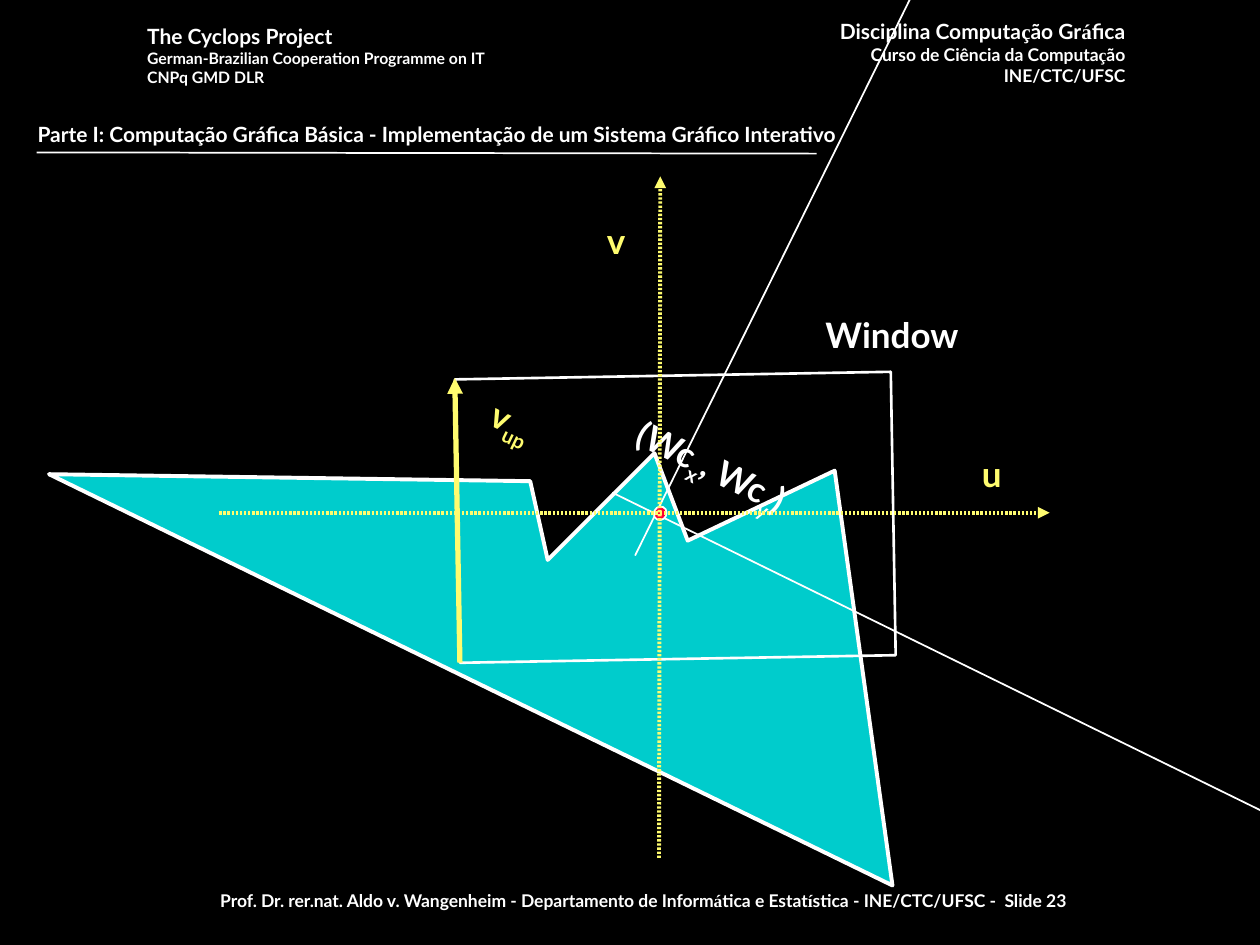
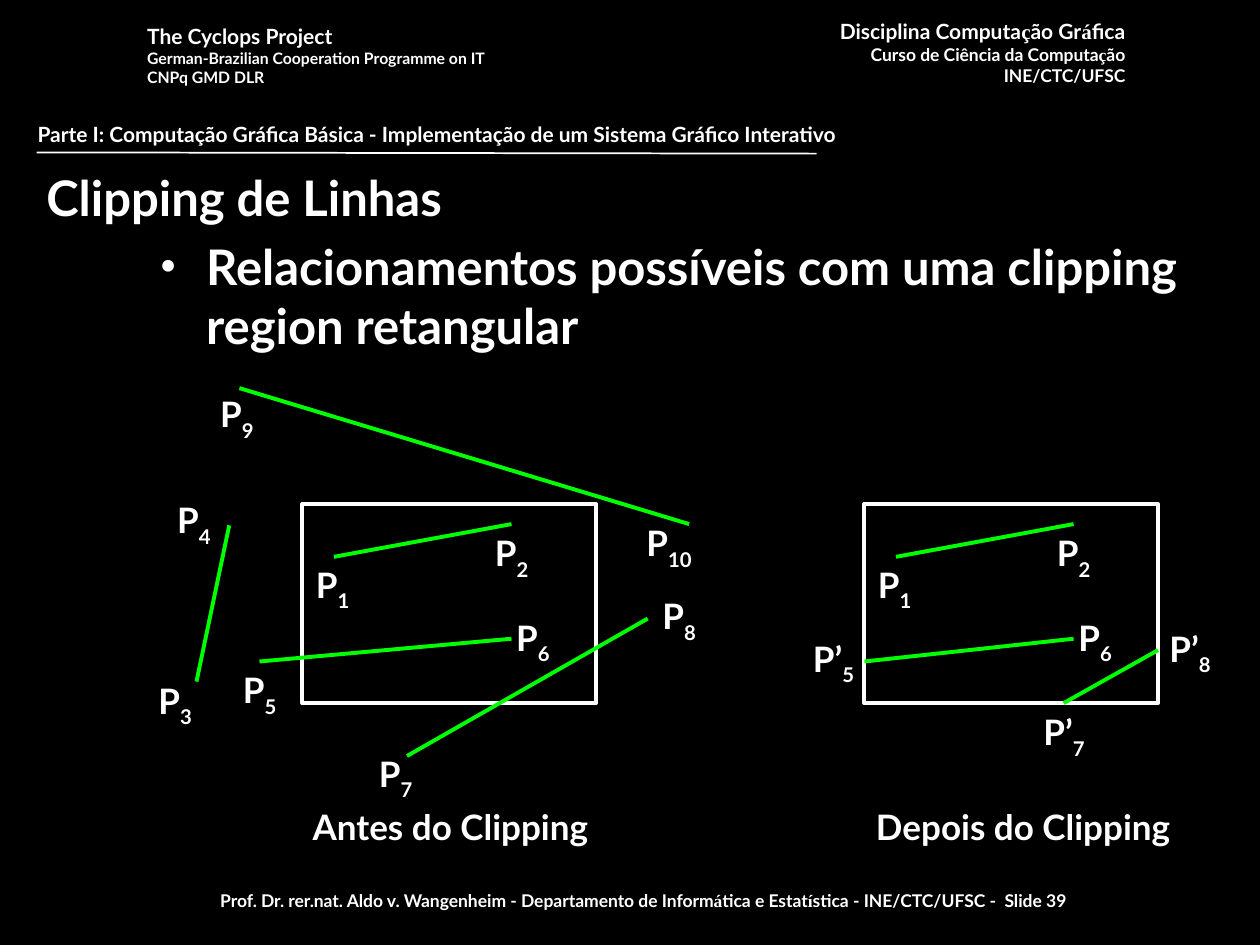
from lxml import etree
from pptx import Presentation
from pptx.dml.color import RGBColor
from pptx.enum import shapes, text
from pptx.oxml.ns import qn
from pptx.util import Pt

BLACK = RGBColor(0x00, 0x00, 0x00)
WHITE = RGBColor(0xFF, 0xFF, 0xFF)
YELLOW = RGBColor(0xFF, 0xFC, 0x6F)
CYAN = RGBColor(0x00, 0xCC, 0xCC)
RED = RGBColor(0xFF, 0x00, 0x33)
GREEN = RGBColor(0x00, 0xFF, 0x00)
LEFT, CENTER, RIGHT = text.PP_ALIGN.LEFT, text.PP_ALIGN.CENTER, text.PP_ALIGN.RIGHT
MAIN_FONT, ACCENT_FONT = "Lato", "Times New Roman"

# A paragraph is (size, runs); every second run takes the accent font or is a subscript.
COURSE = [
    (12, ["Disciplina Computa", "ç", "ão Gr", "á", "fica"]),
    (10, ["Curso de Ciência da Computa", "ç", "ão"]),
    (10, ["INE/CTC/UFSC"]),
]
PROJECT = [
    (12, ["The Cyclops Project"]),
    (9, ["German-Brazilian Cooperation Programme on IT"]),
    (9, ["CNPq GMD DLR"]),
]
PART = "Parte I: Computação Gráfica Básica - Implementação de um Sistema Gráfico Interativo"
FOOTER = ["Prof. Dr. rer.nat. Aldo v. Wangenheim - Departamento de Inform", "á",
          "tica e Estat", "í", "stica - INE/CTC/UFSC -  Slide {}"]

# Window slide
WORLD_OBJECT = [(509.8, 506.2), (28.1, 270.7), (303.1, 275), (313.2, 319.7),
                (374.4, 259.2), (393.1, 308.9), (476.6, 269.3)]
WINDOW = (261.4, 214.6, 249.1, 162)
WINDOW_CENTER = (373.7, 289.4, 7.2, 7.9)
WORLD_AXES = [((349.9, 281.5), (779, 491.8)), ((362.9, 317.5), (542.2, -45.4))]
VIEW_AXES = [((125.3, 293), (599.8, 293)), ((376.6, 490.3), (377.3, 100.8))]
VIEW_UP = ((262.8, 378.7), (259.9, 216))
# runs, box, colour, alignment, rotation, wrap, subscript offset
WINDOW_LABELS = [
    (["Window"], (462.2, 175.7, 95, 31.7), WHITE, CENTER, 0, False, 0),
    (["v", "up"], (270.7, 224.6, 42.5, 34.6), YELLOW, CENTER, 26, True, -25),
    (["(Wc", "x", ", Wc", "y", ")"], (346.3, 249.8, 109.4, 64.1), WHITE, LEFT, 26, True, -30),
    (["u"], (553, 254.9, 27.4, 31.7), YELLOW, CENTER, 0, False, 0),
    (["v"], (339.1, 121.7, 25.9, 31.7), YELLOW, CENTER, 0, False, 0),
]

# Clipping slide; both diagrams use the coordinates of the left one
CLIPPING_TITLE = "Clipping de Linhas"
CLIPPING_POINT = "Relacionamentos possíveis com uma clipping region retangular"
CLIP_REGION = (172.8, 288, 167.8, 113.8)
LABEL_MARGIN = 3  # spare room on each side, so that a subscript stays beside its letter
INNER_LINE = ((190.8, 318.2), (292.3, 299.5))
INNER_LABELS = [("P", "1", 173.5, 318.2), ("P", "2", 275.8, 300.2), ("P", "6", 288, 348.5)]
DIAGRAMS = [
    {
        "shift": 0,
        "caption": ("Antes do Clipping", 162.7, 189.4),
        "lines": [((136.8, 221.8), (393.8, 299.5)), ((131, 300.2), (112.3, 389.5)),
                  ((148.3, 378), (292.3, 365)), ((232.6, 432), (370.1, 353.5))],
        "labels": [("P", "3", 83.5, 384.5), ("P", "4", 94.3, 281.5), ("P", "5", 131.8, 378.7),
                   ("P", "7", 209.5, 426.2), ("P", "8", 371.5, 336.2),
                   ("P", "9", 118.8, 221), ("P", "10", 362.2, 294.5)],
    },
    {
        "shift": 321.2,
        "caption": ("Depois do Clipping", 163.4, 200.2),
        "lines": [((172.8, 378), (292.3, 365)), ((286.6, 401.8), (340.6, 371.5))],
        "labels": [("P’", "5", 136.1, 360.7), ("P’", "7", 267.8, 402.5),
                   ("P’", "8", 339.8, 355)],
    },
]


def points(values):
    return [Pt(value) for value in values]


def add_text(slide, box, paragraphs, align=LEFT, color=WHITE, subscript=0,
             wrap=True, grow=True, before=0):
    textbox = slide.shapes.add_textbox(*points(box))
    frame = textbox.text_frame
    frame.word_wrap = wrap
    frame.auto_size = (text.MSO_AUTO_SIZE.SHAPE_TO_FIT_TEXT if grow
                       else text.MSO_AUTO_SIZE.NONE)
    for number, (size, runs) in enumerate(paragraphs):
        paragraph = frame.add_paragraph() if number else frame.paragraphs[0]
        paragraph.alignment = align
        paragraph.space_before = Pt(before)
        for index, words in enumerate(runs):
            run = paragraph.add_run()
            run.text = words
            font = run.font
            font.size, font.bold, font.name = Pt(size), True, MAIN_FONT
            font.color.rgb = color
            if index % 2 and subscript:
                font._element.set("baseline", str(subscript * 1000))
            elif index % 2:
                font.name = ACCENT_FONT
    return textbox


def add_line(slide, ends, color, width, arrow=False, dotted=False):
    (x1, y1), (x2, y2) = ends
    line = slide.shapes.add_connector(shapes.MSO_CONNECTOR.STRAIGHT, *points((x1, y1, x2, y2)))
    line.line.color.rgb = color
    line.line.width = Pt(width)
    outline = line.line._get_or_add_ln()
    if dotted:
        dashes = etree.SubElement(outline, qn("a:custDash"))
        etree.SubElement(dashes, qn("a:ds"), d="60000", sp="45000")
    if arrow:
        etree.SubElement(outline, qn("a:tailEnd"), type="triangle")
    etree.SubElement(line._element.spPr, qn("a:effectLst"))


def paint(shape, width, fill=None):
    """White outline of the given width, with a solid fill or none."""
    shape.shadow.inherit = False
    shape.line.color.rgb = WHITE
    shape.line.width = Pt(width)
    if fill is None:
        shape.fill.background()
    else:
        shape.fill.solid()
        shape.fill.fore_color.rgb = fill


def add_preset(slide, kind, box, width, fill=None, rotation=0):
    shape = slide.shapes.add_shape(kind, *points(box))
    shape.rotation = rotation
    paint(shape, width, fill)


def add_base_slide(deck, number):
    """Slide with the header, part title, rule and numbered footer."""
    slide = deck.slides.add_slide(deck.slide_layouts[6])
    add_text(slide, (454.3, 7.2, 195.8, 46.1), COURSE, RIGHT, wrap=False)
    add_text(slide, (77, 10.1, 231.1, 43.2), PROJECT, wrap=False)
    footer = [run.format(number) for run in FOOTER]
    add_text(slide, (49.7, 504.9, 635.8, 20.9), [(10, footer)], CENTER, before=6.2)
    add_line(slide, ((20.9, 87.1), (466.6, 87.8)), WHITE, 1)
    add_text(slide, (14.4, 65.8, 684, 21.6), [(12, [PART])])
    return slide


def add_window_slide(deck):
    slide = add_base_slide(deck, 23)
    builder = slide.shapes.build_freeform(*WORLD_OBJECT[0], scale=Pt(1))
    builder.add_line_segments(WORLD_OBJECT[1:], close=True)
    paint(builder.convert_to_shape(), 2.25, CYAN)
    add_preset(slide, shapes.MSO_SHAPE.RECTANGLE, WINDOW, 1.5, rotation=359)
    for axis in WORLD_AXES:
        add_line(slide, axis, WHITE, 1, arrow=True)
    add_preset(slide, shapes.MSO_SHAPE.OVAL, WINDOW_CENTER, 1, RED, 26)
    add_line(slide, VIEW_UP, YELLOW, 3, arrow=True)
    for runs, box, color, align, rotation, wrap, subscript in WINDOW_LABELS:
        label = add_text(slide, box, [(20, runs)], align, color, subscript, wrap)
        label.rotation = rotation
    for axis in VIEW_AXES:
        add_line(slide, axis, YELLOW, 2.25, arrow=True, dotted=True)


def add_bullet(paragraph, indent):
    properties = paragraph._p.get_or_add_pPr()
    properties.set("marL", str(Pt(indent)))
    properties.set("indent", str(-Pt(indent)))
    color = etree.SubElement(properties, qn("a:buClr"))
    etree.SubElement(color, qn("a:srgbClr"), val=str(WHITE))
    etree.SubElement(properties, qn("a:buFont"), typeface=ACCENT_FONT)
    etree.SubElement(properties, qn("a:buChar"), char="•")


def add_diagram(slide, diagram):
    shift = diagram["shift"]
    left, top, width, height = CLIP_REGION
    add_preset(slide, shapes.MSO_SHAPE.RECTANGLE, (left + shift, top, width, height), 2.25)
    for line in [INNER_LINE] + diagram["lines"]:
        add_line(slide, [(x + shift, y) for x, y in line], GREEN, 2.25)
    for name, index, x, y in INNER_LABELS + diagram["labels"]:
        label_width = 33.1 + 5 * (len(name) - 1) + 7.2 * (len(index) - 1)
        box = (x + shift - LABEL_MARGIN, y, label_width + 2 * LABEL_MARGIN, 36)
        add_text(slide, box, [(20, [name, index])], CENTER, subscript=-30, wrap=False)
    caption, x, caption_width = diagram["caption"]
    add_text(slide, (x + shift, 456.5, caption_width, 31.7), [(20, [caption])], CENTER, wrap=False)


def add_clipping_slide(deck):
    slide = add_base_slide(deck, 39)
    title = add_text(slide, (19.4, 92.2, 646.6, 41), [(28, [CLIPPING_TITLE])], grow=False)
    title.text_frame.vertical_anchor = text.MSO_ANCHOR.MIDDLE
    body = add_text(slide, (84.2, 131.8, 612, 378), [(28, [CLIPPING_POINT])], grow=False, before=7)
    add_bullet(body.text_frame.paragraphs[0], 26.6)
    for diagram in DIAGRAMS:
        add_diagram(slide, diagram)


def main():
    deck = Presentation()
    deck.slide_width, deck.slide_height = Pt(720), Pt(540)
    background = deck.slide_master.background.fill
    background.solid()
    background.fore_color.rgb = BLACK
    add_window_slide(deck)
    add_clipping_slide(deck)
    deck.save("out.pptx")


if __name__ == "__main__":
    main()
